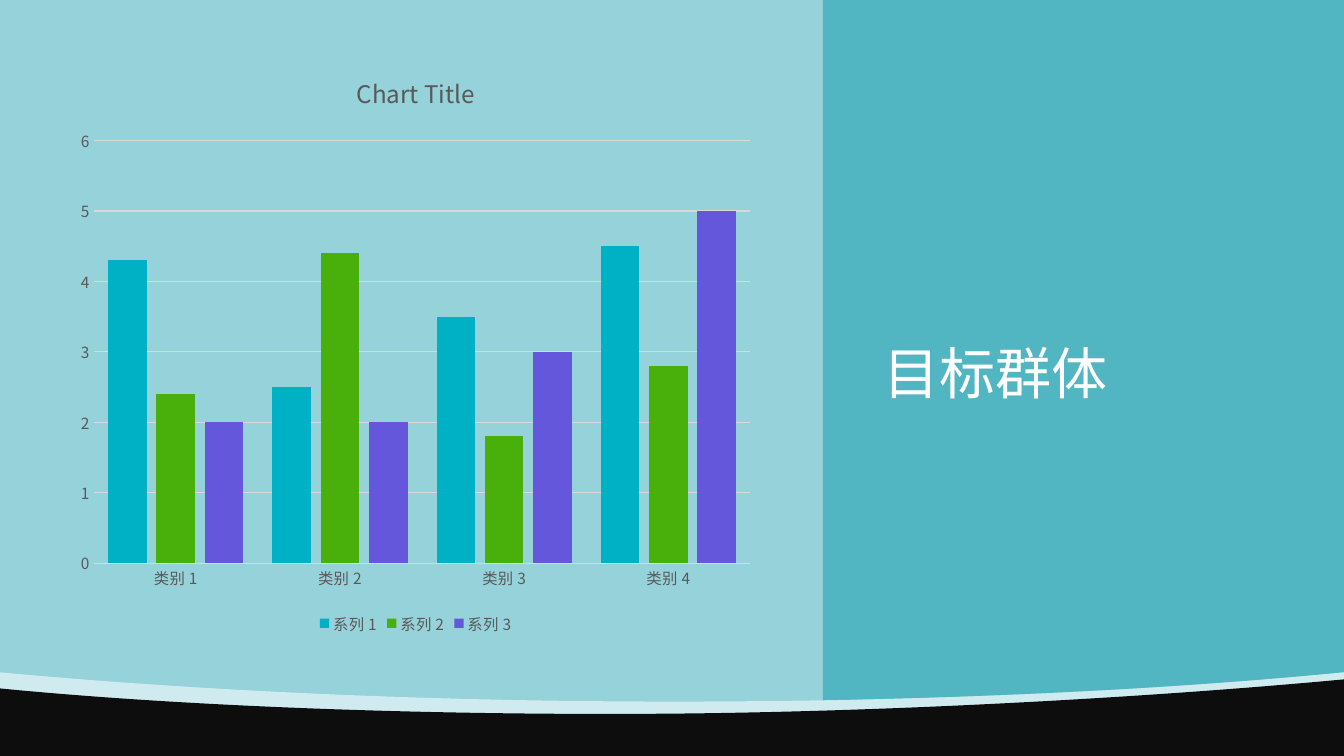
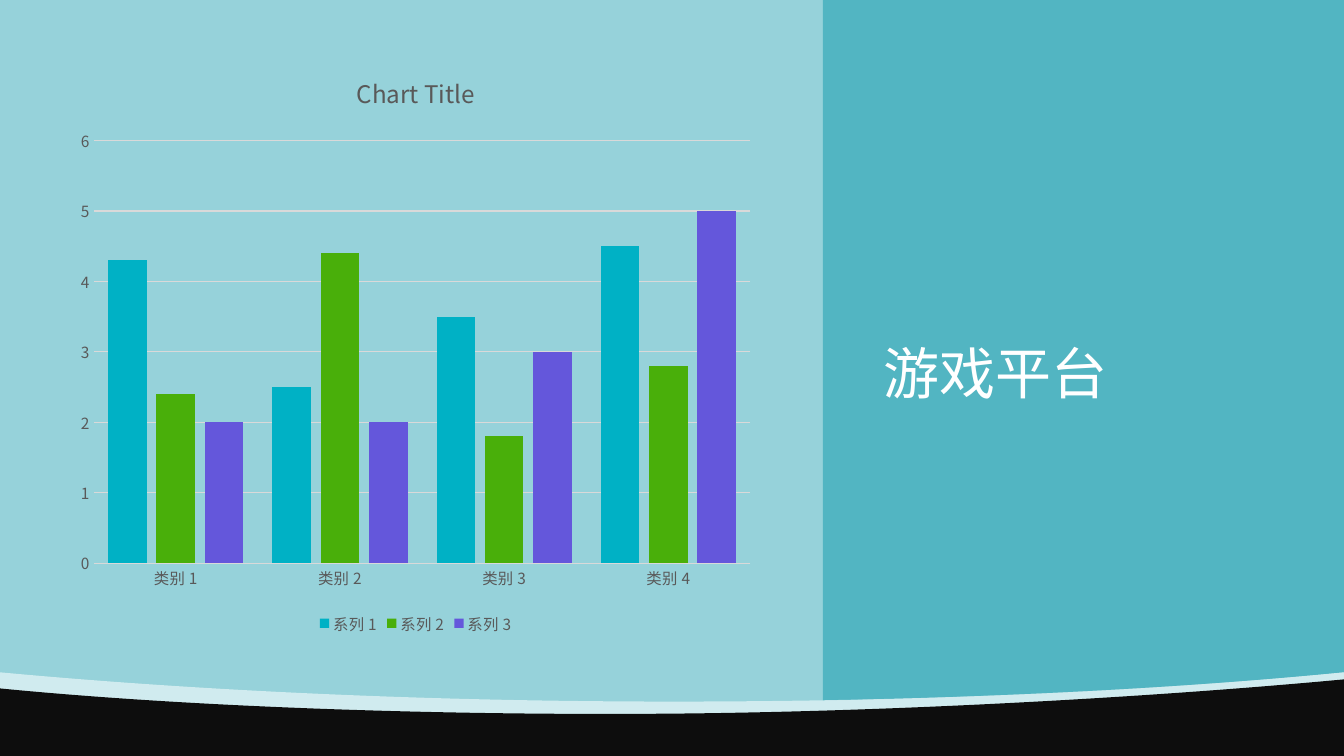
from itertools import chain

from lxml import etree
from pptx import Presentation
from pptx import util as u
from pptx.chart.data import CategoryChartData
from pptx.dml.color import RGBColor
from pptx.enum import chart as charts, text
from pptx.oxml.ns import qn

WIDTH, HEIGHT = u.Inches(13.333), u.Inches(7.5)
FONT = "Noto Sans CJK SC"
COLOURS = {
    "background": "96D2DA",
    "panel": "52B5C2",
    "wave": "EAF6F8",
    "floor": "0D0D0D",
    "title": "FFFFFF",
    "label": "595959",
    "grid": "D9D9D9",
}
TITLE_BOX = (64.97, 6.67, 31.05, 47.73)
CHART_BOX = (4.98, 6.67, 51.9, 77.76)

PANEL = [
    [(61.23, 0)],
    [(100, 0)],
    [(100, 88.93)],
    [(88.5, 90.93), (75.3, 92.13), (61.23, 92.67)],
]
WAVE = [
    [(0, 88.93)],
    [(14.55, 91.33), (31.73, 92.8), (50.1, 92.8)],
    [(68.4, 92.8), (85.5, 91.47), (100, 88.93)],
    [(100, 100)],
    [(0, 100)],
]
FLOOR = [
    [(100, 89.87)],
    [(100, 100)],
    [(0, 100)],
    [(0, 91.07)],
    [(14.55, 93.6), (33.38, 94.67), (50.1, 94.4)],
    [(66.68, 94.13), (85.5, 92.27), (100, 89.87)],
]

CATEGORIES = ["类别 1", "类别 2", "类别 3", "类别 4"]
SERIES = [
    ("系列 1", (4.3, 2.5, 3.5, 4.5), "00B1C5"),
    ("系列 2", (2.4, 4.4, 1.8, 2.8), "49AF0A"),
    ("系列 3", (2, 2, 3, 5), "6457DB"),
]
TITLES = ["目标群体", "游戏平台"]


def colour(value):
    return RGBColor.from_string(value)


def across(percent):
    return round(WIDTH * percent / 100)


def down(percent):
    return round(HEIGHT * percent / 100)


def box(left, top, width, height):
    return across(left), down(top), across(width), down(height)


def paint(fill, value):
    fill.solid()
    fill.fore_color.rgb = colour(value)


def format_font(font, size, value):
    font.name = FONT
    font.size = u.Pt(size)
    font.bold = False
    font.color.rgb = colour(value)


def add_east_asian_font(element):
    for latin in list(element.iter(qn("a:latin"))):
        latin.addnext(etree.Element(qn("a:ea"), typeface=FONT))


def bend_curves(shape, segments):
    lines = iter(list(shape.element.iter(qn("a:lnTo"))))
    for segment in segments[1:]:
        group = [next(lines) for _ in segment]
        if len(group) == 3:
            curve = etree.Element(qn("a:cubicBezTo"))
            group[0].addprevious(curve)
            for line in group:
                curve.append(line[0])
                line.getparent().remove(line)


def add_outline(slide, segments, value, opacity=100):
    start, *rest = [(across(x), down(y)) for x, y in chain.from_iterable(segments)]
    builder = slide.shapes.build_freeform(*start)
    builder.add_line_segments(rest, close=True)
    shape = builder.convert_to_shape()
    bend_curves(shape, segments)
    shape.shadow.inherit = False
    paint(shape.fill, value)
    shape.line.fill.background()
    if opacity < 100:
        fill_colour = next(shape.element.iter(qn("a:srgbClr")))
        etree.SubElement(fill_colour, qn("a:alpha"), val=str(opacity * 1000))
    return shape


def style_layout(layout, slide):
    paint(layout.background.fill, COLOURS["background"])
    title, *footers = layout.placeholders
    for footer in footers:
        layout.shapes.element.remove(footer.element)
    title.left, title.top, title.width, title.height = box(*TITLE_BOX)
    title.text_frame.vertical_anchor = text.MSO_ANCHOR.BOTTOM
    backdrop = [
        add_outline(slide, PANEL, COLOURS["panel"]),
        add_outline(slide, WAVE, COLOURS["wave"], opacity=70),
        add_outline(slide, FLOOR, COLOURS["floor"]),
    ]
    for shape in backdrop:
        layout.shapes.element.append(shape.element)


def set_title(slide, wording):
    title = slide.shapes.title
    title.text_frame.text = wording
    title.text_frame.vertical_anchor = text.MSO_ANCHOR.BOTTOM
    paragraph = title.text_frame.paragraphs[0]
    paragraph.alignment = text.PP_ALIGN.LEFT
    paragraph.line_spacing = 0.9
    format_font(paragraph.runs[0].font, 40, COLOURS["title"])
    add_east_asian_font(title.element)


def format_axis(axis):
    axis.major_tick_mark = charts.XL_TICK_MARK.NONE
    axis.minor_tick_mark = charts.XL_TICK_MARK.NONE
    axis.format.line.fill.background()
    format_font(axis.tick_labels.font, 11, COLOURS["label"])


def format_value_scale(axis):
    axis.minimum_scale, axis.maximum_scale, axis.major_unit = 0, 6, 1
    axis.has_major_gridlines = True
    line = axis.major_gridlines.format.line
    line.width = u.Pt(0.75)
    paint(line.fill, COLOURS["grid"])


def add_column_chart(slide):
    data = CategoryChartData()
    data.categories = CATEGORIES
    for name, values, _ in SERIES:
        data.add_series(name, values)
    frame = slide.shapes.add_chart(
        charts.XL_CHART_TYPE.COLUMN_CLUSTERED, *box(*CHART_BOX), data)
    chart = frame.chart
    chart.font.name = "Calibri"
    chart.font.size = u.Pt(10)
    chart.has_title = True
    chart.chart_title.include_in_layout = False
    heading = chart.chart_title.text_frame
    heading.text = "Chart Title"
    format_font(heading.paragraphs[0].runs[0].font, 17.3, COLOURS["label"])
    chart.has_legend = True
    chart.legend.position = charts.XL_LEGEND_POSITION.BOTTOM
    chart.legend.include_in_layout = False
    format_font(chart.legend.font, 11, COLOURS["label"])
    for axis in (chart.category_axis, chart.value_axis):
        format_axis(axis)
    format_value_scale(chart.value_axis)
    plot = chart.plots[0]
    plot.gap_width = 75
    plot.overlap = -25
    plot.vary_by_categories = False
    for series, (_, _, value) in zip(plot.series, SERIES):
        paint(series.format.fill, value)
    add_east_asian_font(chart.element)


def main():
    presentation = Presentation()
    presentation.slide_width, presentation.slide_height = WIDTH, HEIGHT
    layout = presentation.slide_layouts.get_by_name("Title Only")
    slides = [presentation.slides.add_slide(layout) for _ in TITLES]
    style_layout(layout, slides[0])
    for slide, wording in zip(slides, TITLES):
        set_title(slide, wording)
        add_column_chart(slide)
    presentation.save("out.pptx")


main()
